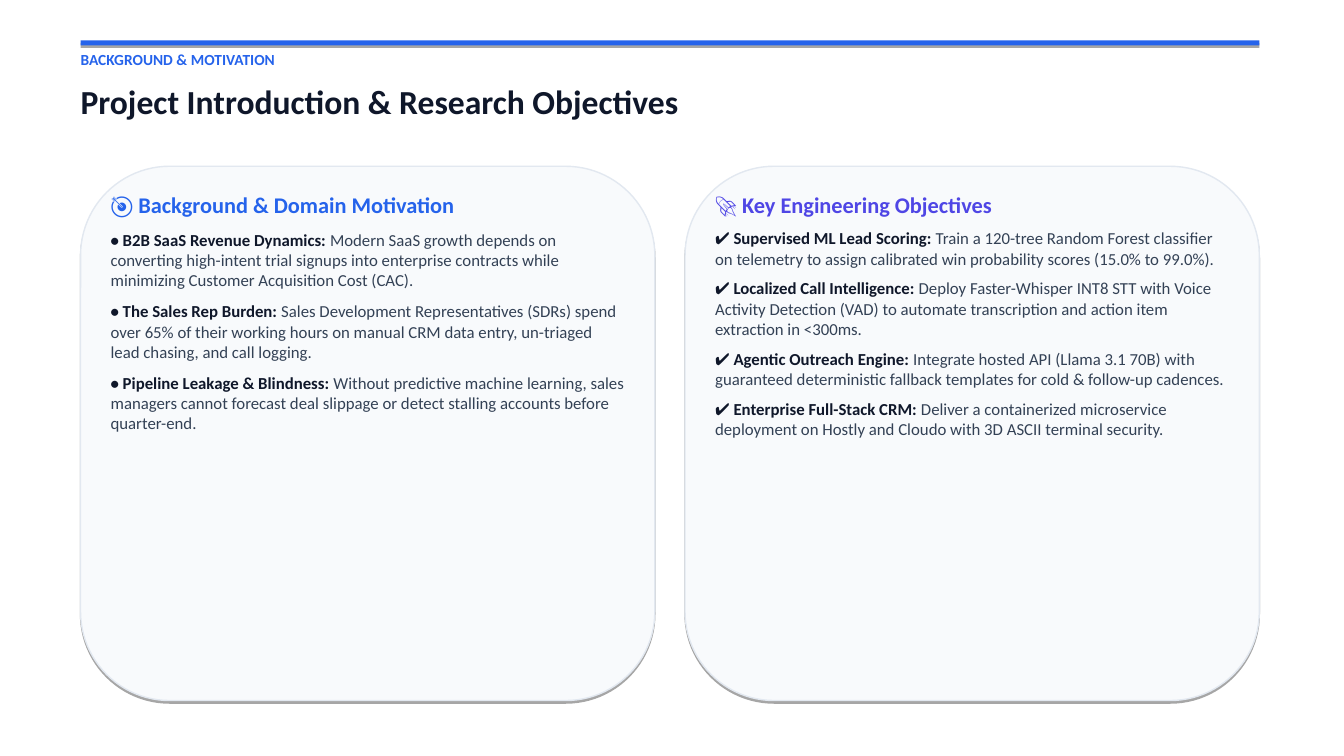
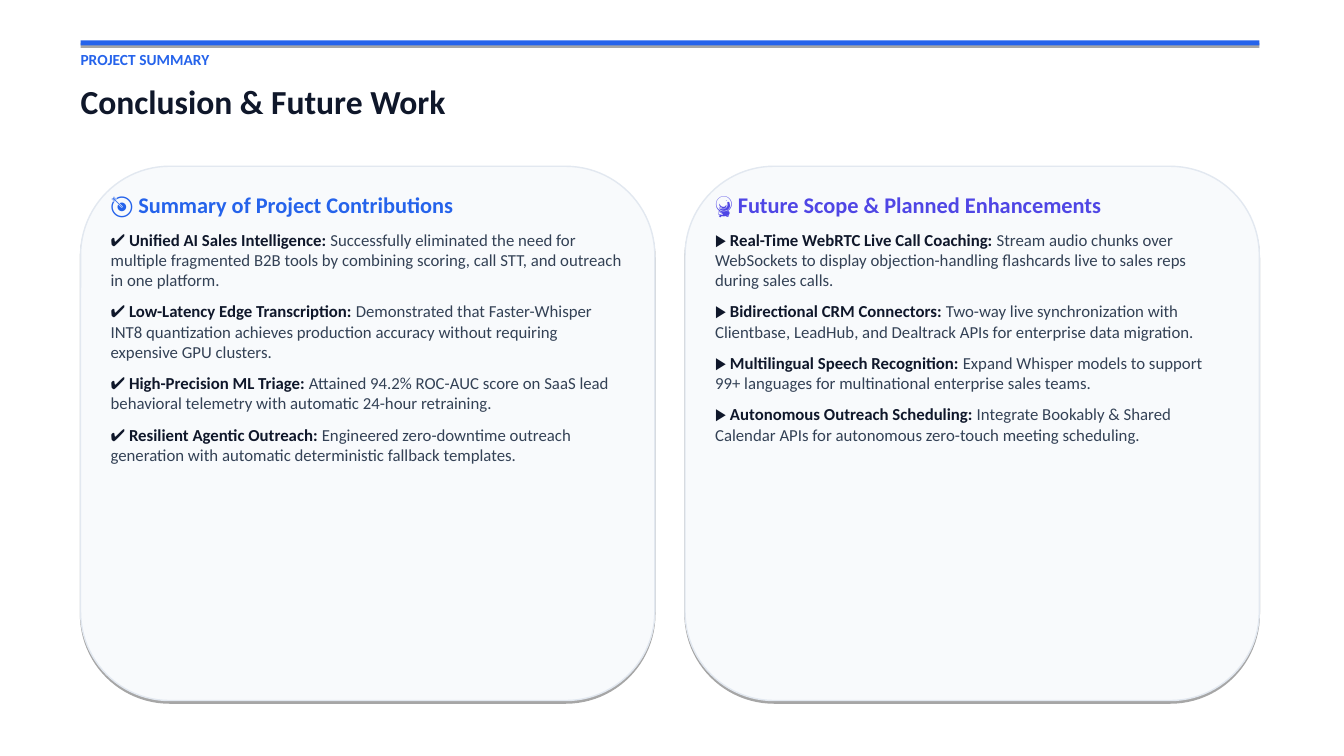
from dataclasses import dataclass

from lxml.etree import SubElement
from pptx import Presentation
from pptx.dml.color import RGBColor
from pptx.enum.shapes import MSO_SHAPE
from pptx.enum.text import MSO_AUTO_SIZE
from pptx.oxml.ns import qn
from pptx.util import Pt

PX = 9144


@dataclass(frozen=True)
class Theme:
    font: str = "Calibri"
    blue: str = "2563EB"
    indigo: str = "4F46E5"
    ink: str = "0F172A"
    body: str = "334155"
    panel: str = "F8FAFC"
    border: str = "E2E8F0"
    shadow: str = "000000"
    label_size: int = 11
    title_size: int = 24
    heading_size: int = 16
    body_size: int = 12


theme = Theme()


def add_text(slide, lines, *, left, top, width, height, inset=(0, 0), gap=0):
    box = slide.shapes.add_textbox(left * PX, top * PX, width * PX, height * PX)
    frame = box.text_frame
    frame.word_wrap = True
    frame.auto_size = MSO_AUTO_SIZE.SHAPE_TO_FIT_TEXT
    frame.margin_left = frame.margin_right = inset[0] * PX
    frame.margin_top = frame.margin_bottom = inset[1] * PX
    for index, spans in enumerate(lines):
        para = frame.add_paragraph() if index else frame.paragraphs[0]
        if index:
            para.space_before = Pt(gap)
        for text, size, color, bold in spans:
            span = para.add_run()
            span.text = text
            span.font.name = theme.font
            span.font.size = Pt(size)
            span.font.bold = bold
            span.font.color.rgb = RGBColor.from_string(color)


def add_panel(slide, kind, *, left, top, width, height, fill, border=None):
    panel = slide.shapes.add_shape(kind, left * PX, top * PX, width * PX, height * PX)
    panel.fill.solid()
    panel.fill.fore_color.rgb = RGBColor.from_string(fill)
    if border:
        panel.line.color.rgb = RGBColor.from_string(border)
        panel.line.width = Pt(1)
    else:
        panel.line.fill.background()
    panel.shadow.inherit = False
    effects = panel.element.spPr.find(qn("a:effectLst"))
    shadow = SubElement(effects, qn("a:outerShdw"), blurRad="0", dist=str(Pt(1.8)),
                        dir="5400000", rotWithShape="0")
    color = SubElement(shadow, qn("a:srgbClr"), val=theme.shadow)
    SubElement(color, qn("a:alpha"), val="35000")


pages = [
    ("BACKGROUND & MOTIVATION", "Project Introduction & Research Objectives", [
        ("🎯 Background & Domain Motivation", "•", 8, 251, [
            ("B2B SaaS Revenue Dynamics:",
             "Modern SaaS growth depends on converting high-intent trial signups into "
             "enterprise contracts while minimizing Customer Acquisition Cost (CAC)."),
            ("The Sales Rep Burden:",
             "Sales Development Representatives (SDRs) spend over 65% of their working "
             "hours on manual CRM data entry, un-triaged lead chasing, and call logging."),
            ("Pipeline Leakage & Blindness:",
             "Without predictive machine learning, sales managers cannot forecast deal "
             "slippage or detect stalling accounts before quarter-end."),
        ]),
        ("🚀 Key Engineering Objectives", "✔", 7, 257, [
            ("Supervised ML Lead Scoring:",
             "Train a 120-tree Random Forest classifier on telemetry to assign calibrated "
             "win probability scores (15.0% to 99.0%)."),
            ("Localized Call Intelligence:",
             "Deploy Faster-Whisper INT8 STT with Voice Activity Detection (VAD) to "
             "automate transcription and action item extraction in <300ms."),
            ("Agentic Outreach Engine:",
             "Integrate hosted API (Llama 3.1 70B) with guaranteed deterministic "
             "fallback templates for cold & follow-up cadences."),
            ("Enterprise Full-Stack CRM:",
             "Deliver a containerized microservice deployment on Hostly and Cloudo with "
             "3D ASCII terminal security."),
        ]),
    ]),
    ("PROJECT SUMMARY", "Conclusion & Future Work", [
        ("🎯 Summary of Project Contributions", "✔", 8, 282, [
            ("Unified AI Sales Intelligence:",
             "Successfully eliminated the need for multiple fragmented B2B tools by "
             "combining scoring, call STT, and outreach in one platform."),
            ("Low-Latency Edge Transcription:",
             "Demonstrated that Faster-Whisper INT8 quantization achieves production "
             "accuracy without requiring expensive GPU clusters."),
            ("High-Precision ML Triage:",
             "Attained 94.2% ROC-AUC score on SaaS lead behavioral telemetry with "
             "automatic 24-hour retraining."),
            ("Resilient Agentic Outreach:",
             "Engineered zero-downtime outreach generation with automatic deterministic "
             "fallback templates."),
        ]),
        ("🔮 Future Scope & Planned Enhancements", "▶", 8, 262, [
            ("Real-Time WebRTC Live Call Coaching:",
             "Stream audio chunks over WebSockets to display objection-handling "
             "flashcards live to sales reps during sales calls."),
            ("Bidirectional CRM Connectors:",
             "Two-way live synchronization with Clientbase, LeadHub, and Dealtrack APIs "
             "for enterprise data migration."),
            ("Multilingual Speech Recognition:",
             "Expand Whisper models to support 99+ languages for multinational "
             "enterprise sales teams."),
            ("Autonomous Outreach Scheduling:",
             "Integrate Bookably & Shared Calendar APIs for autonomous zero-touch "
             "meeting scheduling."),
        ]),
    ]),
]

margin, content_width, gutter = 80, 1170, 30
card_top, card_height, card_padding = 165, 530, 20
card_width = (content_width - gutter) // 2

deck = Presentation()
deck.slide_width = 1334 * PX
deck.slide_height = 750 * PX

for label, title, cards in pages:
    page = deck.slides.add_slide(deck.slide_layouts[6])
    add_panel(page, MSO_SHAPE.RECTANGLE, left=margin, top=40, width=content_width,
              height=5, fill=theme.blue)
    add_text(page, [[(label, theme.label_size, theme.blue, True)]],
             left=margin, top=50, width=1000, height=18)
    add_text(page, [[(title, theme.title_size, theme.ink, True)]],
             left=margin, top=80, width=content_width, height=40)

    for column, (heading, marker, gap, text_height, points) in enumerate(cards):
        left = margin + column * (card_width + gutter)
        accent = (theme.blue, theme.indigo)[column]
        add_panel(page, MSO_SHAPE.ROUNDED_RECTANGLE, left=left, top=card_top,
                  width=card_width, height=card_height, fill=theme.panel,
                  border=theme.border)
        lines = [[(heading, theme.heading_size, accent, True)]]
        for lead, detail in points:
            lines.append([(f"{marker} {lead} ", theme.body_size, theme.ink, True),
                          (detail, theme.body_size, theme.body, False)])
        add_text(page, lines, left=left + card_padding, top=card_top + card_padding,
                 width=card_width - 2 * card_padding, height=text_height,
                 inset=(10, 5), gap=gap)

deck.save("out.pptx")
